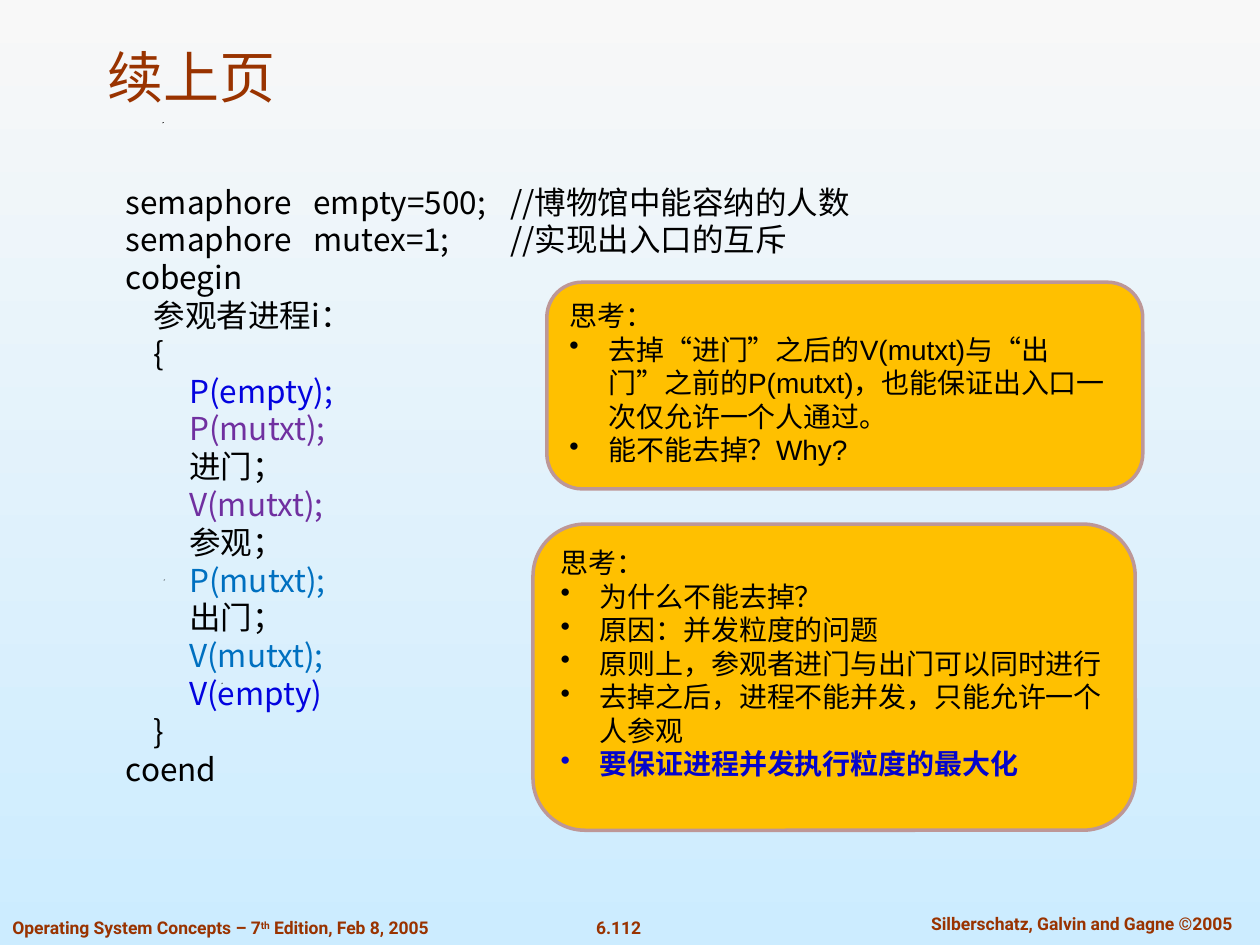
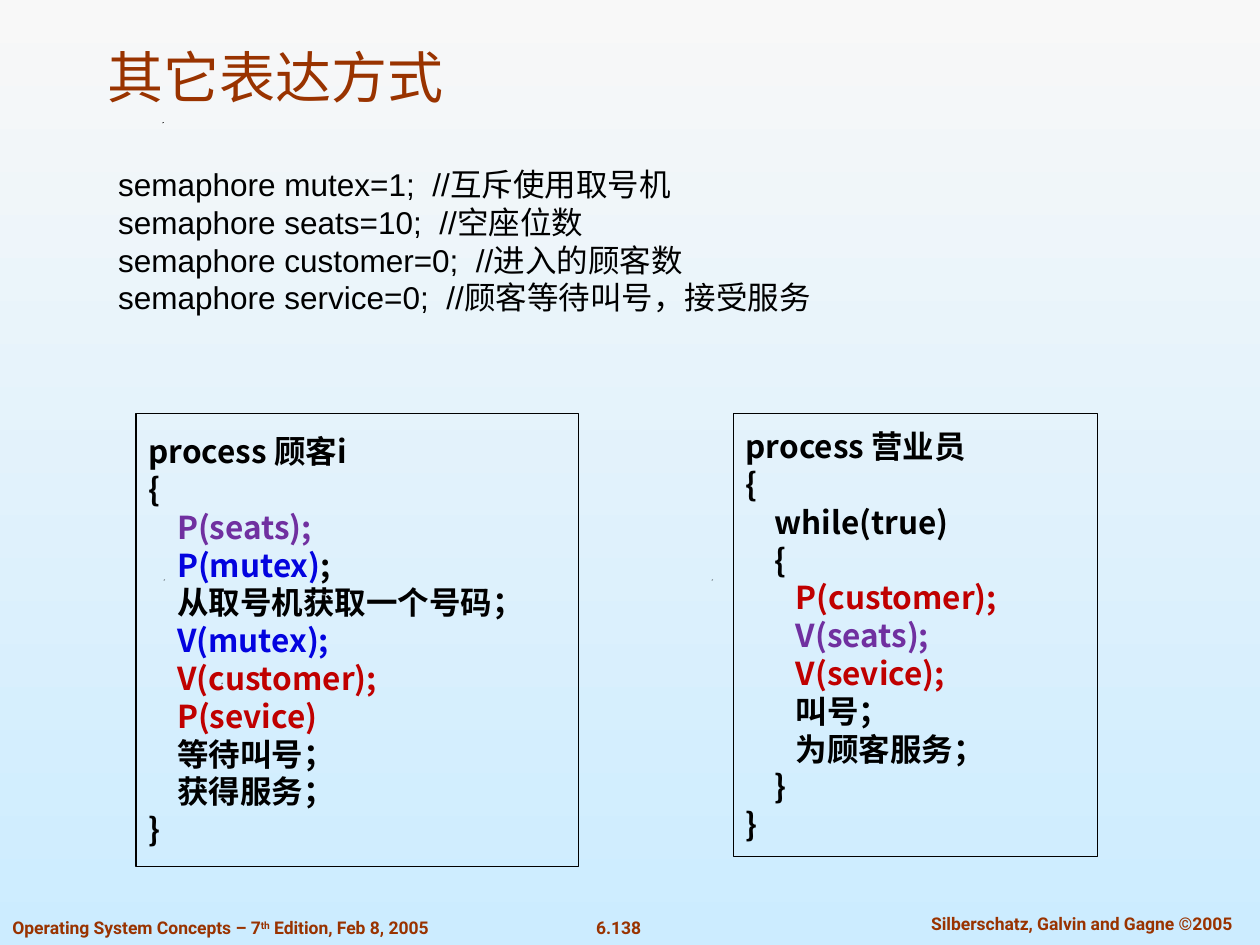
from dataclasses import dataclass

from lxml.etree import SubElement
from pptx import Presentation
from pptx.dml.color import RGBColor
from pptx.enum.shapes import MSO_SHAPE
from pptx.enum.text import MSO_ANCHOR, PP_ALIGN
from pptx.oxml.ns import qn
from pptx.util import Inches, Pt

COLORS = {
    "sky_top": "F8F8F8", "sky_bottom": "CCECFF", "rust": "993300",
    "black": "000000", "blue": "0303DF", "deep_blue": "0505CB",
    "light_blue": "0070C0", "purple": "7030A0", "red": "C00000",
    "amber": "FFC000", "mauve": "BD9797",
}
CJK_FONT = "Noto Sans CJK SC"
TITLE = {"name": "Arial", "size": Pt(32), "bold": False}
FOOTER = {"name": "Roboto", "size": Pt(10), "bold": True}
CODE = {"name": CJK_FONT, "size": Pt(18), "bold": False}
BOLD_CODE = {**CODE, "bold": True}
DECLARATION = {**CODE, "name": "Arial"}
NOTE = {"name": "Arial", "size": Pt(16), "bold": False}


@dataclass(frozen=True)
class Area:
    left: float
    top: float
    width: float
    height: float

    def lengths(self) -> tuple:
        return tuple(Inches(v) for v in (self.left, self.top, self.width, self.height))


@dataclass(frozen=True)
class Span:
    text: str
    color: str = "black"
    bold: bool = False
    superscript: bool = False


@dataclass(frozen=True)
class Line:
    spans: tuple
    bullet: bool = False
    tabs: tuple = ()


@dataclass(frozen=True)
class Panel:
    area: Area
    lines: list
    style: dict
    kind: str


def line(text: str, color: str = "black", **options) -> Line:
    return Line((Span(text, color),), **options)


def bullet(text: str, color: str = "black", bold: bool = False) -> Line:
    return Line((Span(text, color, bold),), bullet=True)


def rgb(name: str) -> RGBColor:
    return RGBColor.from_string(COLORS[name])


# Text
def add_span(para, span: Span, style: dict) -> None:
    run = para.add_run()
    run.text = span.text
    for attribute, value in style.items():
        setattr(run.font, attribute, value)
    if span.bold:
        run.font.bold = True
    run.font.color.rgb = rgb(span.color)
    properties = run.font._element if hasattr(run.font, "_element") else run._r.get_or_add_rPr()
    SubElement(properties, qn("a:ea"), typeface=CJK_FONT)
    if span.superscript:
        properties.set("baseline", "30000")


def write_lines(frame, lines: list, style: dict, align=PP_ALIGN.LEFT,
                anchor=MSO_ANCHOR.TOP) -> None:
    frame.word_wrap = True
    frame.vertical_anchor = anchor
    for index, entry in enumerate(lines):
        para = frame.paragraphs[0] if index == 0 else frame.add_paragraph()
        para.alignment = align
        properties = para._p.get_or_add_pPr()
        if entry.bullet:
            properties.set("marL", str(Inches(0.31)))
            properties.set("indent", str(-Inches(0.31)))
            SubElement(properties, qn("a:buChar"), char="•")
        if entry.tabs:
            stops = SubElement(properties, qn("a:tabLst"))
            for position in entry.tabs:
                SubElement(stops, qn("a:tab"), pos=str(Inches(position)), algn="l")
        for span in entry.spans:
            add_span(para, span, style)


# Shared page parts
SPECKS = ((1.76, 5.42), (1.3, 4.6), (5.65, 4.6), (1.29, 0.97))
EDITION = Line((Span("Operating System Concepts – 7", "rust"),
                Span("th", "rust", superscript=True),
                Span(" Edition, Feb 8, 2005", "rust")))
AUTHORS = line("Silberschatz, Galvin and Gagne ©2005", "rust")


def paint_background(deck) -> None:
    fill = deck.slide_master.background.fill
    fill.gradient()
    fill.gradient_angle = 270
    for stop, name in zip(fill.gradient_stops, ("sky_top", "sky_bottom")):
        stop.color.rgb = rgb(name)


def add_text(page, area: Area, lines: list, style: dict, align=PP_ALIGN.LEFT) -> None:
    box = page.shapes.add_textbox(*area.lengths())
    write_lines(box.text_frame, lines, style, align)


def add_speck(page, left: float, top: float) -> None:
    size = Inches(0.01)
    x, y = Inches(left), Inches(top)
    builder = page.shapes.build_freeform(x, y + size)
    builder.add_line_segments([(x, y), (x + size, y)], close=True)
    speck = builder.convert_to_shape()
    speck.shadow.inherit = False
    speck.fill.solid()
    speck.fill.fore_color.rgb = rgb("black")
    speck.line.fill.background()


def add_page(deck, title: str, number: str):
    page = deck.slides.add_slide(deck.slide_layouts[5])
    for left, top in SPECKS:
        add_speck(page, left, top)
    add_text(page, Area(4.59, 7.23, 0.64, 0.27), [line(number, "rust")], FOOTER,
             PP_ALIGN.CENTER)
    add_text(page, Area(7.1, 7.2, 2.97, 0.27), [AUTHORS], FOOTER, PP_ALIGN.CENTER)
    add_text(page, Area(0, 7.23, 4.11, 0.27), [EDITION], FOOTER)
    heading = page.shapes.title
    heading.left, heading.top, heading.width, heading.height = Area(
        0.75, 0.25, 8.83, 0.67).lengths()
    write_lines(heading.text_frame, [line(title, "rust")], TITLE,
                anchor=MSO_ANCHOR.BOTTOM)
    return page


# Panels: amber thinking notes and framed processes
def add_panel(page, panel: Panel) -> None:
    is_note = panel.kind == "note"
    preset = MSO_SHAPE.ROUNDED_RECTANGULAR_CALLOUT if is_note else MSO_SHAPE.RECTANGLE
    shape = page.shapes.add_shape(preset, *panel.area.lengths())
    shape.shadow.inherit = False
    if is_note:
        for index, value in enumerate((-0.21, 0.5, 0.17)):
            shape.adjustments[index] = value
        shape.fill.solid()
        shape.fill.fore_color.rgb = rgb("amber")
    else:
        shape.fill.background()
    shape.line.color.rgb = rgb("mauve" if is_note else "black")
    shape.line.width = Pt(2 if is_note else 0.75)
    write_lines(shape.text_frame, panel.lines, panel.style,
                anchor=MSO_ANCHOR.TOP if is_note else MSO_ANCHOR.MIDDLE)


# Museum slide content
DECLARATION_TABS = (1.49, 3.05)
MUSEUM_CODE = [
    line("semaphore\tempty=500;\t//博物馆中能容纳的人数", tabs=DECLARATION_TABS),
    line("semaphore\tmutex=1;\t//实现出入口的互斥", tabs=DECLARATION_TABS),
    line("cobegin"),
    line("    参观者进程i："),
    line("    {"),
    line("         P(empty);", "blue"),
    line("         P(mutxt);", "purple"),
    line("         进门；"),
    line("         V(mutxt);", "purple"),
    line("         参观；"),
    line("         P(mutxt);", "light_blue"),
    line("         出门；"),
    line("         V(mutxt);", "light_blue"),
    line("         V(empty)", "blue"),
    line("    }"),
    line("coend"),
]
MUSEUM_NOTES = [
    Panel(Area(4.34, 2.24, 4.73, 1.64), [
        line("思考："),
        bullet("去掉“进门”之后的V(mutxt)与“出门”之前的P(mutxt)，也能保证出入口一次仅允许一个人通过。"),
        bullet("能不能去掉？Why?"),
    ], NOTE, "note"),
    Panel(Area(4.23, 4.16, 4.78, 2.43), [
        line("思考："),
        bullet("为什么不能去掉？"),
        bullet("原因：并发粒度的问题"),
        bullet("原则上，参观者进门与出门可以同时进行"),
        bullet("去掉之后，进程不能并发，只能允许一个人参观"),
        bullet("要保证进程并发执行粒度的最大化", "deep_blue", bold=True),
    ], NOTE, "note"),
]

# Bank queue slide content
QUEUE_DECLARATIONS = [
    line("semaphore mutex=1;  //互斥使用取号机"),
    line("semaphore seats=10;  //空座位数"),
    line("semaphore customer=0;  //进入的顾客数"),
    line("semaphore service=0;  //顾客等待叫号，接受服务"),
]
QUEUE_PROCESSES = [
    Panel(Area(1.08, 3.28, 3.51, 3.6), [
        line("process 顾客i"),
        line("{"),
        line("    P(seats);", "purple"),
        Line((Span("    P(mutex)", "blue"), Span(";"))),
        line("    从取号机获取一个号码；"),
        line("    V(mutex);", "blue"),
        line("    V(customer);", "red"),
        line("    P(sevice)", "red"),
        line("    等待叫号；"),
        line("    获得服务；"),
        line("}"),
    ], BOLD_CODE, "process"),
    Panel(Area(5.82, 3.28, 2.89, 3.52), [
        line("process 营业员"),
        line("{"),
        line("    while(true)"),
        line("    {"),
        line("       P(customer);", "red"),
        line("       V(seats);", "purple"),
        line("       V(sevice);", "red"),
        line("       叫号；"),
        line("       为顾客服务；"),
        line("    }"),
        line("}"),
    ], BOLD_CODE, "process"),
]


def main() -> None:
    deck = Presentation()
    deck.slide_width, deck.slide_height = Inches(10), Inches(7.5)
    paint_background(deck)

    museum = add_page(deck, "续上页", "6.112")
    add_text(museum, Area(0.9, 1.4, 8.04, 4.9), MUSEUM_CODE, CODE)
    for note in MUSEUM_NOTES:
        add_panel(museum, note)

    queue = add_page(deck, "其它表达方式", "6.138")
    add_text(queue, Area(0.84, 1.26, 8.24, 1.72), QUEUE_DECLARATIONS, DECLARATION)
    for process in QUEUE_PROCESSES:
        add_panel(queue, process)

    deck.save("out.pptx")


if __name__ == "__main__":
    main()
